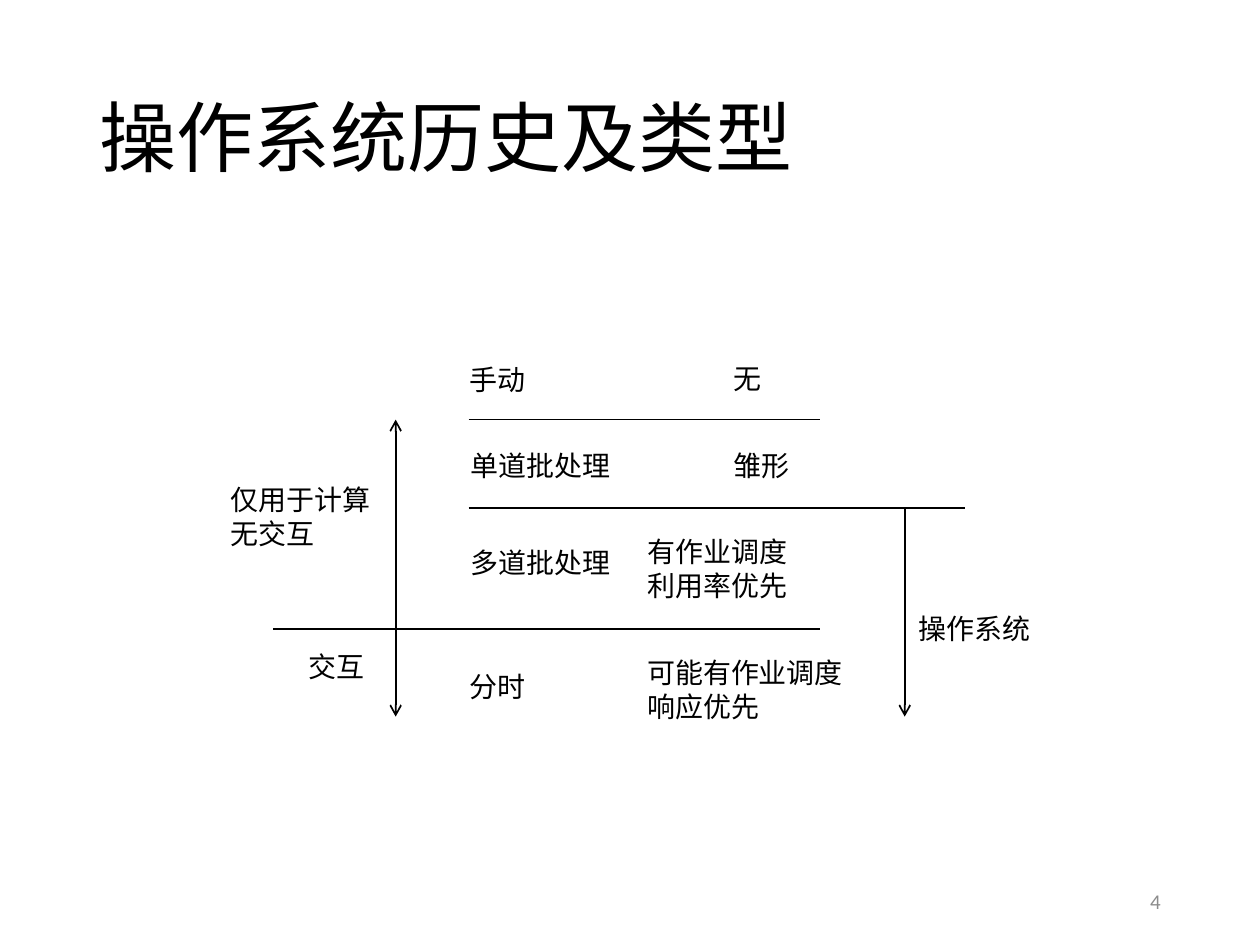
"""Build a slide on the history and types of operating systems."""
from pptx import Presentation
from pptx.dml.color import RGBColor
from pptx.enum import shapes as sh, text as tx
from pptx.oxml import ns, xmlchemy as xc
from pptx.util import Pt

HUES = {"ink": "000000", "paper": "FFFFFF", "grey": "8C8C8C"}
SANS, LATIN = "Noto Sans CJK SC", "Calibri"
MODE, ROLE, NOTE = 255.6, 406.8, 362.9
TOP, MID, LOW, END = 239.8, 290.2, 359.3, 409.5
RULE, SPAN, SYSTEM = 267.8, 226.1, 517


def hue(name):
    return RGBColor.from_string(HUES[name])


def style(para, size, face, ink="ink", align=tx.PP_ALIGN.LEFT):
    para.alignment = align
    font = para.font
    font.size, font.name = Pt(size), face
    font.color.rgb = hue(ink)


def add_title(slide, words):
    title = slide.shapes.title
    title.left, title.top, title.width, title.height = map(Pt, (49.7, 28.8, 620.6, 104.4))
    frame = title.text_frame
    frame.text = words
    frame.auto_size = tx.MSO_AUTO_SIZE.NONE
    frame.vertical_anchor = tx.MSO_ANCHOR.MIDDLE
    para = frame.paragraphs[0]
    para.line_spacing = 0.9
    style(para, 44, LATIN)


def add_number(slide, words):
    box = slide.shapes.add_textbox(*map(Pt, (508.3, 500.4, 162, 28.8)))
    frame = box.text_frame
    frame.word_wrap = True
    frame.vertical_anchor = tx.MSO_ANCHOR.MIDDLE
    frame.text = words
    style(frame.paragraphs[0], 12, LATIN, "grey", tx.PP_ALIGN.RIGHT)


def add_label(slide, words, left, top, width, height, align, face=SANS):
    box = slide.shapes.add_shape(sh.MSO_SHAPE.RECTANGLE, *map(Pt, (left, top, width, height)))
    box.shadow.inherit = False
    box.fill.solid()
    box.fill.fore_color.rgb = hue("paper")
    box.line.fill.background()
    frame = box.text_frame
    frame.text = words
    frame.word_wrap = False
    frame.vertical_anchor = tx.MSO_ANCHOR.MIDDLE
    frame.margin_top = frame.margin_bottom = Pt(3)
    for para in frame.paragraphs:
        style(para, 16, face, align=align)


def add_line(slide, start, stop, *ends):
    line = slide.shapes.add_connector(sh.MSO_CONNECTOR.STRAIGHT, *map(Pt, start + stop))
    line.line.color.rgb = hue("ink")
    line.line.width = Pt(1)
    for end in ends:
        tip = xc.OxmlElement(f"a:{end}")
        tip.set("type", "arrow")
        line.line._get_or_add_ln().append(tip)
    props = line._element.find(ns.qn("p:spPr"))
    props.append(xc.OxmlElement("a:effectLst"))


def main():
    deck = Presentation()
    deck.slide_width, deck.slide_height = Pt(720), Pt(540)
    slide = deck.slides.add_slide(deck.slide_layouts[5])
    add_title(slide, "操作系统历史及类型")
    add_number(slide, "4")

    add_label(slide, "手动", MODE, 199.4, 56.9, 35.3, tx.PP_ALIGN.CENTER, LATIN)
    for words, left, top, width in (
        ("单道批处理", MODE, 248.4, 106.6),
        ("多道批处理", MODE, 303.8, 106.6),
        ("分时", MODE, 374.4, 56.9),
        ("无", ROLE, 198.7, 40.3),
        ("雏形", ROLE, 248.4, 56.9),
        ("操作系统", 511.9, 341.3, 90),
    ):
        add_label(slide, words, left, top, width, 35.3, tx.PP_ALIGN.CENTER)
    for words, left, top, width, height in (
        ("有作业调度\n利用率优先", NOTE, 302.4, 95, 44.6),
        ("仅用于计算\n无交互", 124.6, 272.9, 95, 44.6),
        ("交互", 169.2, 367.9, 46.8, 25.2),
        ("可能有作业调度\n响应优先", NOTE, 371.5, 127.4, 44.6),
    ):
        add_label(slide, words, left, top, width, height, tx.PP_ALIGN.LEFT)

    for left, right, top in ((RULE, 468.7, TOP), (RULE, 551.5, MID), (156.2, 468.7, LOW)):
        add_line(slide, (left, top), (right, top))
    add_line(slide, (SYSTEM, MID), (SYSTEM, END), "tailEnd")
    add_line(slide, (SPAN, TOP), (SPAN, END), "headEnd", "tailEnd")
    deck.save("out.pptx")


if __name__ == "__main__":
    main()
